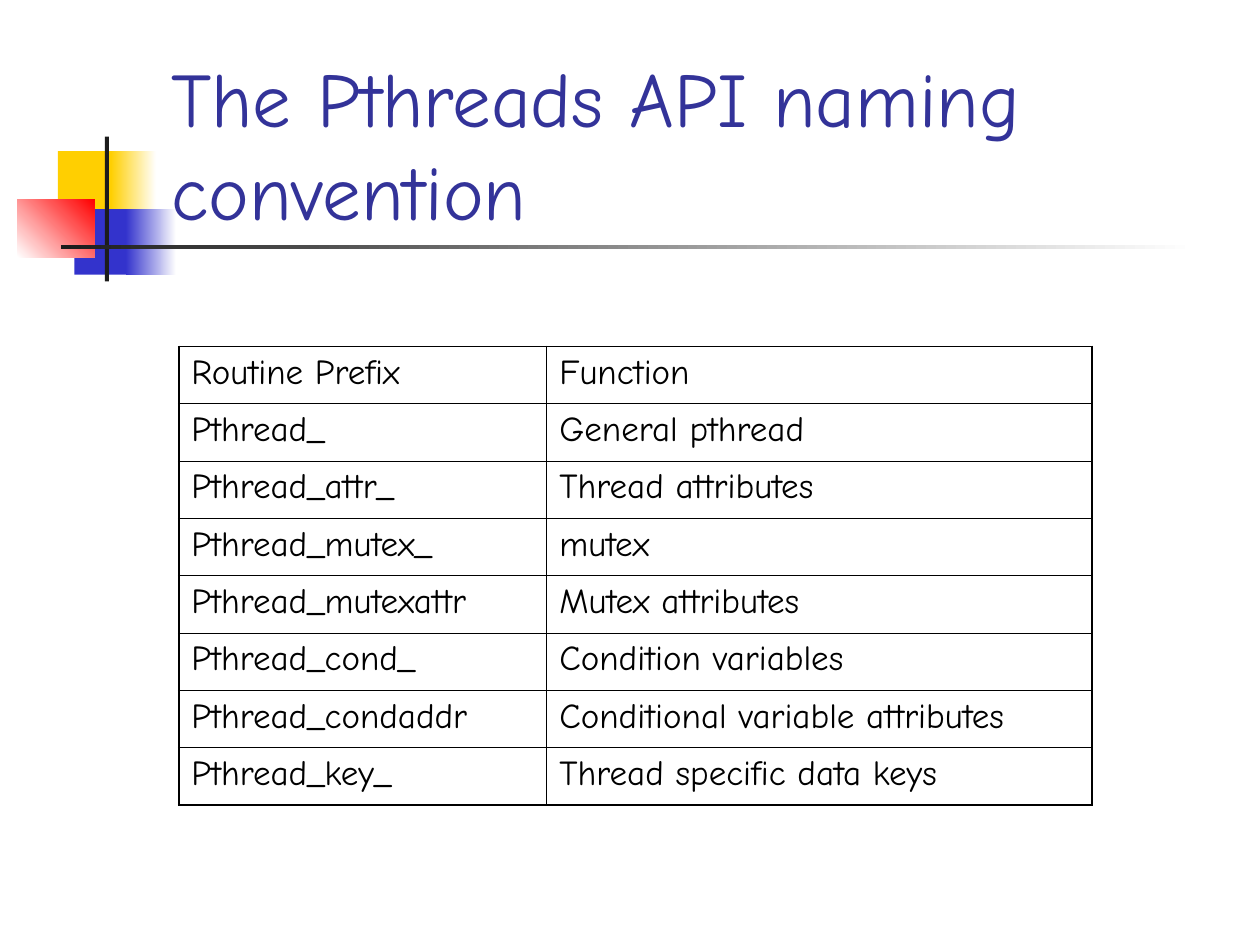
from typing import NamedTuple, Optional

from lxml.etree import SubElement
from pptx import Presentation
from pptx.dml.color import RGBColor
from pptx.enum.shapes import MSO_SHAPE as Preset
from pptx.enum.text import MSO_ANCHOR as Anchor, MSO_AUTO_SIZE as AutoSize, PP_ALIGN as Align
from pptx.oxml.ns import qn
from pptx.util import Pt

COLORS = {
    "white": "FFFFFF", "black": "000000", "charcoal": "1C1C1C", "yellow": "FFCF01",
    "blue": "3333CC", "red": "FF0000", "title": "333399",
}
FONT = "Comic Neue"
THIN, THICK = 0.45, 1.08


class Bar(NamedTuple):
    left: float
    top: float
    width: float
    height: float
    start: str
    end: Optional[str] = None  # a second colour makes a gradient
    angle: float = 0  # counter-clockwise degrees


BARS = [
    Bar(33.1, 86.4, 34.6, 37.4, "yellow"),
    Bar(63.4, 86.4, 25.9, 37.4, "yellow", "white"),
    Bar(42.5, 119.5, 33.1, 37.4, "blue"),
    Bar(72, 119.5, 28.8, 37.4, "blue", "white"),
    Bar(10, 113.8, 44, 33.1, "white", "red", 45),
    Bar(59.9, 78, 2.4, 82.8, "charcoal"),
    Bar(34.8, 140, 648, 2.5, "charcoal", "white"),
]

ROWS = [
    ("Routine Prefix", "Function"),
    ("Pthread_", "General pthread"),
    ("Pthread_attr_", "Thread attributes"),
    ("Pthread_mutex_", "mutex"),
    ("Pthread_mutexattr", "Mutex attributes"),
    ("Pthread_cond_", "Condition variables"),
    ("Pthread_condaddr", "Conditional variable attributes"),
    ("Pthread_key_", "Thread specific data keys"),
]
COLUMN_WIDTHS = (210.24, 311.76)
ROW_HEIGHT = 32.76


def rgb(name: str) -> RGBColor:
    return RGBColor.from_string(COLORS[name])


def style_para(para, size: float, color: str) -> None:
    para.alignment = Align.LEFT
    para.font.name = FONT
    para.font.size = Pt(size)
    para.font.color.rgb = rgb(color)


def draw_bar(page, bar: Bar) -> None:
    box = page.shapes.add_shape(Preset.RECTANGLE, Pt(bar.left), Pt(bar.top),
                                Pt(bar.width), Pt(bar.height))
    box.shadow.inherit = False
    box.line.fill.background()
    if bar.end is None:
        box.fill.solid()
        box.fill.fore_color.rgb = rgb(bar.start)
        return
    box.fill.gradient()
    box.fill.gradient_angle = bar.angle
    for stop, name, position in zip(box.fill.gradient_stops, (bar.start, bar.end), (0, 1)):
        stop.color.rgb = rgb(name)
        stop.position = position


def set_borders(cell, widths: dict[str, float]) -> None:
    properties = cell._tc.get_or_add_tcPr()
    for index, (side, width) in enumerate(widths.items()):
        line = SubElement(properties, qn(f"a:ln{side}"), w=str(int(Pt(width))))
        fill = SubElement(line, qn("a:solidFill"))
        SubElement(fill, qn("a:srgbClr"), val=COLORS["black"])
        properties.insert(index, line)  # borders come before the cell fill


def draw_title(page, text: str) -> None:
    title = page.shapes.title
    title.left, title.top, title.width, title.height = Pt(90.7), Pt(48.2), Pt(613.4), Pt(90)
    frame = title.text_frame
    frame.text = text
    frame.word_wrap = True
    frame.auto_size = AutoSize.NONE
    frame.vertical_anchor = Anchor.BOTTOM
    style_para(frame.paragraphs[0], 44, "title")


def draw_table(page, left: float, top: float) -> None:
    last_row, last_column = len(ROWS) - 1, len(COLUMN_WIDTHS) - 1
    table = page.shapes.add_table(len(ROWS), len(COLUMN_WIDTHS), Pt(left), Pt(top),
                                  Pt(sum(COLUMN_WIDTHS)), Pt(ROW_HEIGHT * len(ROWS))).table
    table.first_row = table.horz_banding = False
    for column, width in zip(table.columns, COLUMN_WIDTHS):
        column.width = Pt(width)
    for r, texts in enumerate(ROWS):
        table.rows[r].height = Pt(ROW_HEIGHT)
        for c, text in enumerate(texts):
            cell = table.cell(r, c)
            cell.text = text
            cell.fill.background()
            para = cell.text_frame.paragraphs[0]
            para.space_before = Pt(5)
            style_para(para, 20, "black")
            # The outer frame is heavier than the inner grid
            set_borders(cell, {
                "L": THICK if c == 0 else THIN,
                "R": THICK if c == last_column else THIN,
                "T": THICK if r == 0 else THIN,
                "B": THICK if r == last_row else THIN,
            })


def main() -> None:
    deck = Presentation()
    deck.slide_width, deck.slide_height = Pt(720), Pt(540)
    page = deck.slides.add_slide(deck.slide_layouts[5])  # Title Only

    # Corner ornament and rule
    for bar in BARS:
        draw_bar(page, bar)

    # Title, raised above the ornament
    draw_title(page, "The Pthreads API naming convention")
    page.shapes._spTree.append(page.shapes.title._element)

    # Naming table
    draw_table(page, 102.2, 198)

    deck.save("out.pptx")


if __name__ == "__main__":
    main()
